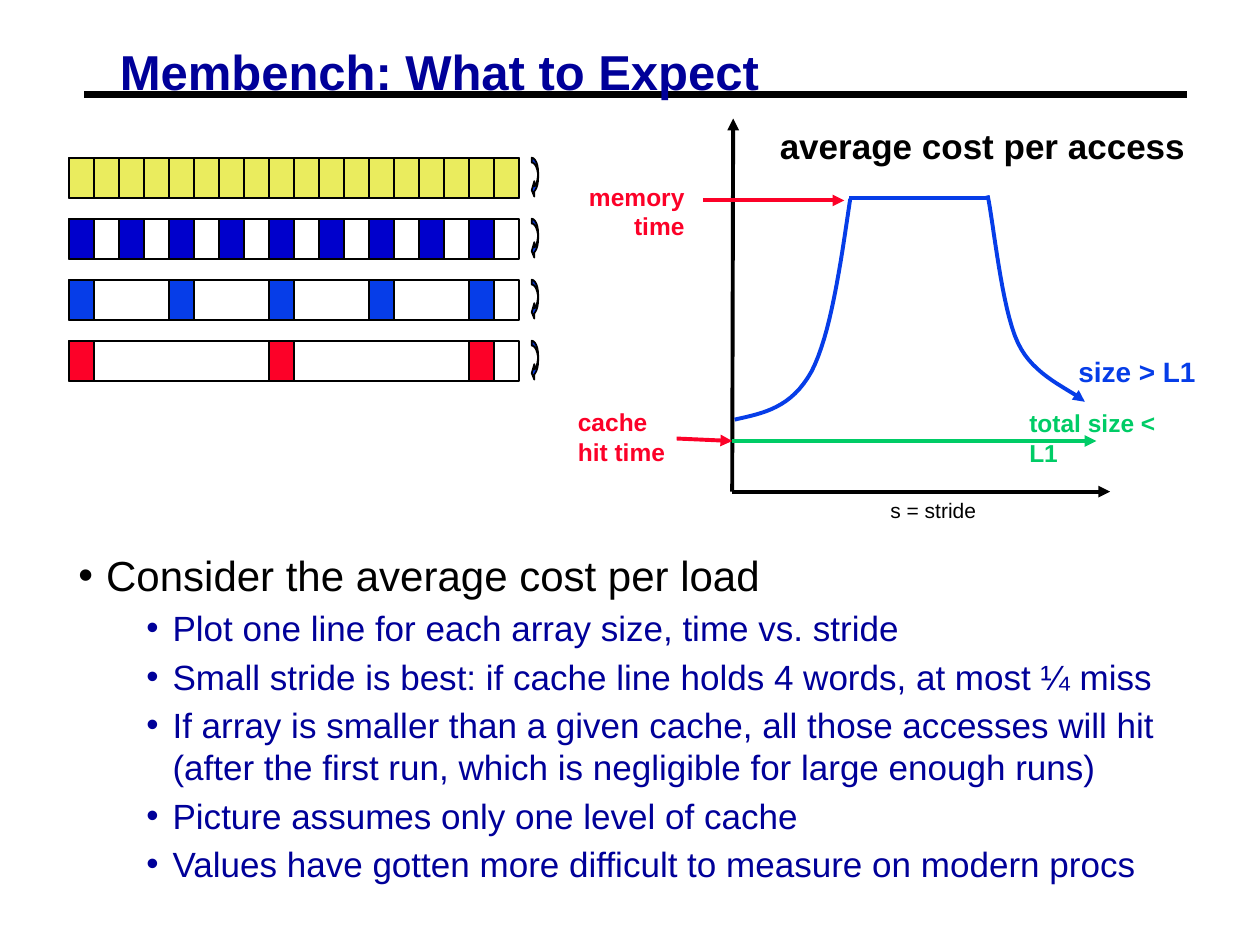
from lxml.etree import SubElement
from pptx import Presentation
from pptx.dml.color import RGBColor
from pptx.enum.shapes import MSO_CONNECTOR, MSO_SHAPE
from pptx.enum.text import MSO_ANCHOR, PP_ALIGN
from pptx.oxml.ns import qn
from pptx.util import Cm, Pt

HUES = {"black": "000000", "navy": "000099", "yellow": "EAEC5E", "deep": "0000CC",
        "blue": "063DE8", "red": "FC0128", "green": "00CC66"}
CELLS = 18
ROWS = [("yellow", 1), ("deep", 2), ("blue", 4), ("red", 8)]
POINTS = [
    "Plot one line for each array size, time vs. stride",
    "Small stride is best: if cache line holds 4 words, at most ¼ miss",
    "If array is smaller than a given cache, all those accesses will hit "
    "(after the first run, which is negligible for large enough runs)",
    "Picture assumes only one level of cache",
    "Values have gotten more difficult to measure on modern procs",
]
RISE = [(14.81, 8.46), (15.39, 8.33), (15.95, 8.23), (16.36, 7.49),
        (16.74, 6.76), (16.94, 5.38), (17.14, 4.01)]
FALL = [(19.91, 3.94), (20.02, 4.42), (20.19, 6.22), (20.52, 6.91),
        (20.83, 7.59), (21.59, 7.85), (21.87, 8.1)]


def tint(hue):
    return RGBColor.from_string(HUES[hue])


def mark(para, hue, left, hang):
    """Give a paragraph a hanging bullet."""
    props = para._p.get_or_add_pPr()
    props.set("marL", str(Cm(left)))
    props.set("indent", str(-Cm(hang)))
    color = SubElement(props, qn("a:buClr"))
    SubElement(color, qn("a:srgbClr"), val=HUES[hue])
    SubElement(props, qn("a:buFont"), typeface="Arial")
    SubElement(props, qn("a:buChar"), char="•")


def style(para, size, hue, bold=False):
    font = para.font
    font.name, font.size, font.bold = "Arial", Pt(size), bold
    font.color.rgb = tint(hue)


def add_text(slide, text, x, y, w, h, size=14, hue="black", bold=True, wrap=False,
             align=PP_ALIGN.LEFT, anchor=MSO_ANCHOR.TOP, inset=(0.25, 0.13), pitch=None):
    frame = slide.shapes.add_textbox(Cm(x), Cm(y), Cm(w), Cm(h)).text_frame
    frame.word_wrap, frame.vertical_anchor = wrap, anchor
    frame.margin_left = frame.margin_right = Cm(inset[0])
    frame.margin_top = frame.margin_bottom = Cm(inset[1])
    frame.text = text
    for para in frame.paragraphs:
        para.alignment, para.line_spacing = align, pitch
        style(para, size, hue, bold)
    return frame


def add_body(slide):
    frame = add_text(slide, "\n".join(["Consider the average cost per load"] + POINTS),
                     1.4, 11.0, 22.22, 6.8, wrap=True, inset=(0.18, 0.08))
    head, *rest = frame.paragraphs
    mark(head, "black", 0.56, 0.56)
    style(head, 24, "black")
    for para in rest:
        para.level, para.space_before = 1, Pt(3.7)
        mark(para, "navy", 1.9, 0.53)
        style(para, 20, "navy")


def add_box(slide, kind, x, y, w, h, fill=None):
    box = slide.shapes.add_shape(kind, Cm(x), Cm(y), Cm(w), Cm(h))
    box.shadow.inherit = False
    if fill:
        box.fill.solid()
        box.fill.fore_color.rgb = tint(fill)
    else:
        box.fill.background()
    box.line.color.rgb, box.line.width = tint("black"), Pt(1)
    return box


def add_row(slide, y, hue, stride):
    """Draw one array with every stride-th cell filled and a curled arrow."""
    left, wide, tall = 1.39, 9.07, 0.81
    cell = wide / CELLS
    add_box(slide, MSO_SHAPE.RECTANGLE, left, y, wide, tall)
    for i in range(0, CELLS, stride):
        add_box(slide, MSO_SHAPE.RECTANGLE, left + i * cell, y, cell, tall, hue)
    curl = add_box(slide, MSO_SHAPE.CURVED_LEFT_ARROW, 10.72, y, 0.13, tall, "blue")
    for i, ratio in enumerate((0.75, 2.4, 0.4)):
        curl.adjustments[i] = ratio


def ink(line, hue, width, arrow):
    line.color.rgb, line.width = tint(hue), Pt(width)
    if arrow:
        SubElement(line._get_or_add_ln(), qn("a:tailEnd"), type="triangle")


def add_line(slide, x1, y1, x2, y2, hue, width=2.25, arrow=True):
    line = slide.shapes.add_connector(MSO_CONNECTOR.STRAIGHT, Cm(x1), Cm(y1), Cm(x2), Cm(y2))
    ink(line.line, hue, width, arrow)
    SubElement(line._element.spPr, qn("a:effectLst"))


def trace(knots, steps=16):
    """Yield points along joined cubic curves."""
    yield knots[0]
    for i in range(0, len(knots) - 1, 3):
        for n in range(1, steps + 1):
            t = n / steps
            parts = ((1 - t) ** 3, 3 * t * (1 - t) ** 2, 3 * t * t * (1 - t), t ** 3)
            yield tuple(sum(p * k[axis] for p, k in zip(parts, knots[i:i + 4]))
                        for axis in (0, 1))


def add_curve(slide, knots, hue, arrow=False):
    first, *rest = [(Cm(x), Cm(y)) for x, y in trace(knots)]
    path = slide.shapes.build_freeform(*first)
    path.add_line_segments(rest, close=False)
    curve = path.convert_to_shape()
    curve.shadow.inherit = False
    curve.fill.background()
    ink(curve.line, hue, 2.25, arrow)


def add_plot(slide):
    add_line(slide, 14.76, 9.91, 14.78, 2.39, "black")
    add_line(slide, 14.76, 9.91, 22.38, 9.91, "black")
    add_text(slide, "s = stride", 17.7, 9.91, 2.24, 0.76, size=12, bold=False)
    add_text(slide, "average cost per access", 15.47, 2.39, 8.69, 1.12, size=20)
    add_line(slide, 14.76, 8.89, 22.1, 8.89, "green")
    add_text(slide, "total size < L1", 20.5, 8.1, 3.76, 0.86, hue="green")
    add_text(slide, "cache hit time", 11.4, 8.08, 2.51, 1.45, hue="red", wrap=True)
    add_line(slide, 13.64, 8.84, 14.76, 8.89, "red")
    add_text(slide, "memory\ntime", 11.56, 3.53, 2.49, 1.45, hue="red", wrap=True,
             align=PP_ALIGN.RIGHT)
    add_line(slide, 14.17, 4.04, 17.02, 4.04, "red")
    add_line(slide, 17.12, 3.99, 19.94, 3.99, "blue", arrow=False)
    add_curve(slide, RISE, "blue")
    add_curve(slide, FALL, "blue", arrow=True)
    add_text(slide, "size > L1", 21.49, 7.01, 2.87, 0.94, size=16, hue="blue")


def main():
    deck = Presentation()
    deck.slide_width, deck.slide_height = Cm(25.4), Cm(19.05)
    slide = deck.slides.add_slide(deck.slide_layouts[6])
    add_line(slide, 1.7, 1.9, 23.93, 1.9, "black", width=3.75, arrow=False)
    add_text(slide, "Membench: What to Expect", 2.24, 0.86, 13.26, 1.32, size=28, hue="navy",
             wrap=True, anchor=MSO_ANCHOR.MIDDLE, inset=(0.18, 0.08), pitch=0.87)
    for i, (hue, stride) in enumerate(ROWS):
        add_row(slide, 3.18 + i * 1.23, hue, stride)
    add_body(slide)
    add_plot(slide)
    deck.save("out.pptx")


if __name__ == "__main__":
    main()
